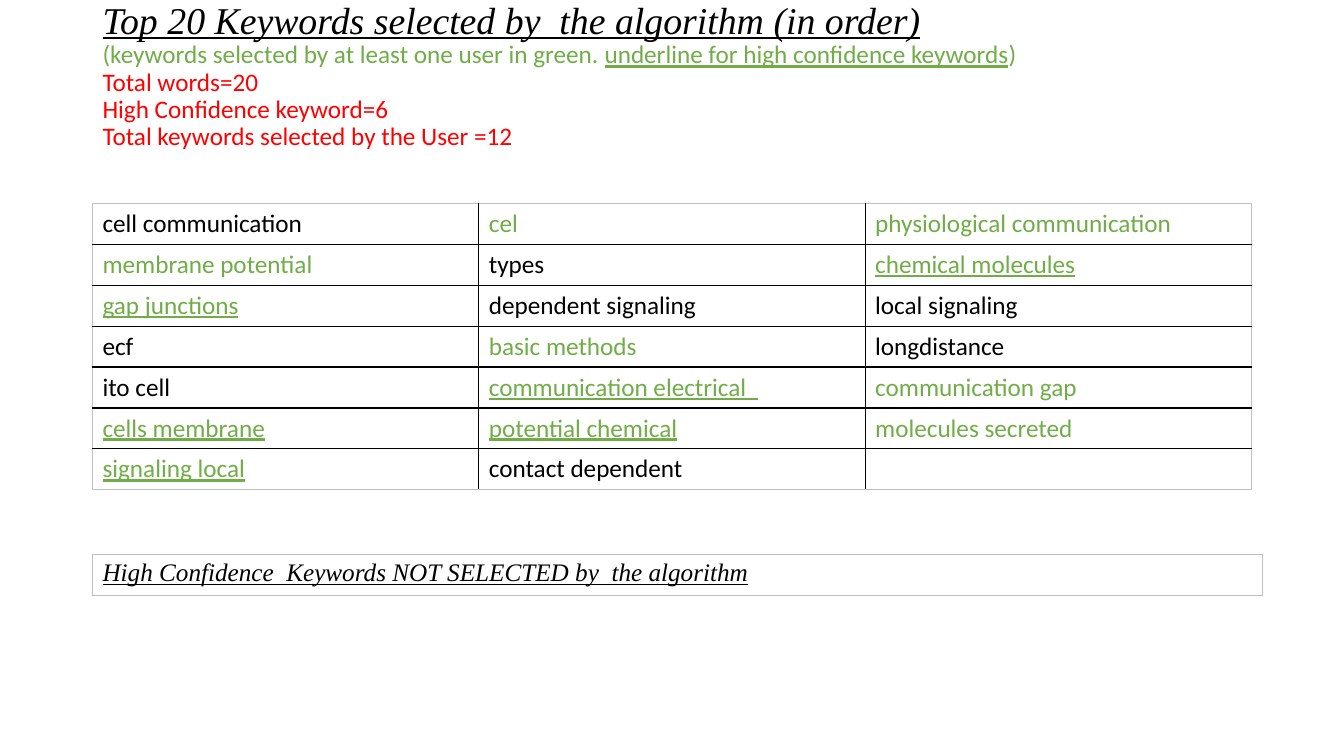
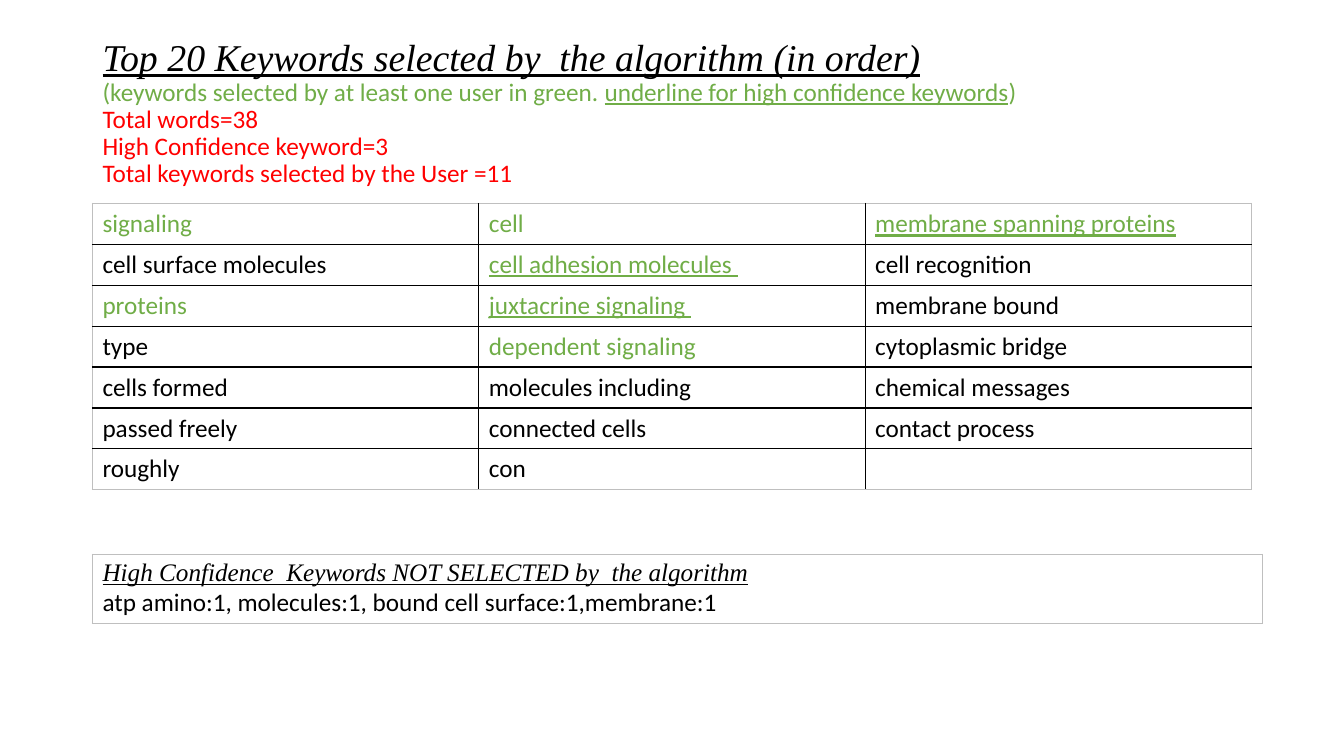
from lxml import etree
from pptx import Presentation
from pptx import util as u
from pptx.dml.color import RGBColor
from pptx.enum import text
from pptx.oxml import ns

BLACK, GREEN, RED, GRAY = "000000", "70AD47", "FF0000", "BFBFBF"
HEADING = {"font": "Times New Roman", "italic": True, "underline": True}

# Keyword styles: not chosen, chosen by a user, chosen with high confidence
PLAIN = {}
CHOSEN = {"color": GREEN}
CONFIDENT = {"color": GREEN, "underline": True}

LEFT, WIDTH, ROW_HEIGHT = 2.33, 29.21, 1.03
TABLE_TOP, MISSED_TOP, MISSED_WIDTH = 5.13, 13.97, 29.49
COLUMNS = 3


def rgb(value):
    return RGBColor.from_string(value)


def add_run(paragraph, words, size=18, font="Calibri", color=BLACK,
            italic=False, underline=False):
    run = paragraph.add_run()
    run.text = words
    run.font.size, run.font.name = u.Pt(size), font
    run.font.bold, run.font.italic, run.font.underline = False, italic, underline
    run.font.color.rgb = rgb(color)


def set_border(cell, side, color, width):
    properties = cell._tc.get_or_add_tcPr()
    line = etree.SubElement(properties, ns.qn(f"a:{side}"), w=str(u.Pt(width)))
    fill = etree.SubElement(line, ns.qn("a:solidFill"))
    etree.SubElement(fill, ns.qn("a:srgbClr"), val=color)


def add_grid(slide, left, top, width, row_height, rows, columns):
    """Add a plain table: gray frame, black inner lines."""
    table = slide.shapes.add_table(
        rows, columns, u.Cm(left), u.Cm(top), u.Cm(width),
        u.Cm(row_height * rows)).table
    table.first_row = table.horz_banding = False
    for row in range(rows):
        for column in range(columns):
            cell = table.cell(row, column)
            outer = {"lnL": column == 0, "lnR": column == columns - 1,
                     "lnT": row == 0, "lnB": row == rows - 1}
            for side, on_frame in outer.items():
                set_border(cell, side, GRAY if on_frame else BLACK, 1)
            cell.fill.background()
    return table


def add_title(slide, left, top, width, height, counts):
    title = slide.shapes.title
    title.left, title.top = u.Cm(left), u.Cm(top)
    title.width, title.height = u.Cm(width), u.Cm(height)
    frame = title.text_frame
    frame.word_wrap = True
    frame.auto_size = text.MSO_AUTO_SIZE.NONE
    frame.vertical_anchor = text.MSO_ANCHOR.MIDDLE
    paragraph = frame.paragraphs[0]
    paragraph.alignment = text.PP_ALIGN.LEFT
    paragraph.line_spacing = 0.9

    # Heading and legend
    add_run(paragraph, "Top 20 Keywords selected by  the algorithm (in order)",
            size=27, **HEADING)
    paragraph.add_line_break()
    add_run(paragraph, "(keywords selected by at least one user in green. ", **CHOSEN)
    add_run(paragraph, "underline for high confidence keywords", **CONFIDENT)
    add_run(paragraph, ")", **CHOSEN)

    # Totals
    labels = ("Total words=", "High Confidence keyword=",
              "Total keywords selected by the User =")
    for label, count in zip(labels, counts):
        paragraph.add_line_break()
        add_run(paragraph, f"{label}{count}", color=RED)


def add_keywords(slide, left, top, width, keywords):
    rows = -(-len(keywords) // COLUMNS)
    table = add_grid(slide, left, top, width, ROW_HEIGHT, rows, COLUMNS)
    for index, (words, style) in enumerate(keywords):
        cell = table.cell(*divmod(index, COLUMNS))
        add_run(cell.text_frame.paragraphs[0], words, **style)


def add_missed(slide, left, top, width, missed):
    height = 1.74 if missed else ROW_HEIGHT
    frame = add_grid(slide, left, top, width, height, 1, 1).cell(0, 0).text_frame
    add_run(frame.paragraphs[0],
            "High Confidence  Keywords NOT SELECTED by  the algorithm", **HEADING)
    if missed:
        add_run(frame.add_paragraph(), missed)


def add_keyword_slide(presentation, title_top, counts, keywords, missed=""):
    slide = presentation.slides.add_slide(presentation.slide_layouts[5])
    add_title(slide, LEFT, title_top, WIDTH, 3.68, counts)
    add_keywords(slide, LEFT, TABLE_TOP, WIDTH, keywords)
    add_missed(slide, LEFT, MISSED_TOP, MISSED_WIDTH, missed)


CELL_COMMUNICATION = [
    ("cell communication", PLAIN), ("cel", CHOSEN),
    ("physiological communication", CHOSEN),
    ("membrane potential", CHOSEN), ("types", PLAIN),
    ("chemical molecules", CONFIDENT),
    ("gap junctions", CONFIDENT), ("dependent signaling", PLAIN),
    ("local signaling", PLAIN),
    ("ecf", PLAIN), ("basic methods", CHOSEN), ("longdistance", PLAIN),
    ("ito cell", PLAIN), ("communication electrical  ", CONFIDENT),
    ("communication gap", CHOSEN),
    ("cells membrane", CONFIDENT), ("potential chemical", CONFIDENT),
    ("molecules secreted", CHOSEN),
    ("signaling local", CONFIDENT), ("contact dependent", PLAIN),
]

CONTACT_SIGNALING = [
    ("signaling", CHOSEN), ("cell", CHOSEN),
    ("membrane spanning proteins", CONFIDENT),
    ("cell surface molecules", PLAIN), ("cell adhesion molecules ", CONFIDENT),
    ("cell recognition", PLAIN),
    ("proteins", CHOSEN), ("juxtacrine signaling ", CONFIDENT),
    ("membrane bound", PLAIN),
    ("type", PLAIN), ("dependent signaling", CHOSEN),
    ("cytoplasmic bridge", PLAIN),
    ("cells formed", PLAIN), ("molecules including", PLAIN),
    ("chemical messages", PLAIN),
    ("passed freely", PLAIN), ("connected cells", PLAIN),
    ("contact process", PLAIN),
    ("roughly", PLAIN), ("con", PLAIN),
]


def main():
    presentation = Presentation()
    presentation.slide_width, presentation.slide_height = u.Cm(33.87), u.Cm(19.05)
    add_keyword_slide(presentation, 0.08, (20, 6, 12), CELL_COMMUNICATION)
    add_keyword_slide(presentation, 1.02, (38, 3, 11), CONTACT_SIGNALING,
                      "atp amino:1, molecules:1, bound cell surface:1,membrane:1")
    presentation.save("out.pptx")


if __name__ == "__main__":
    main()
